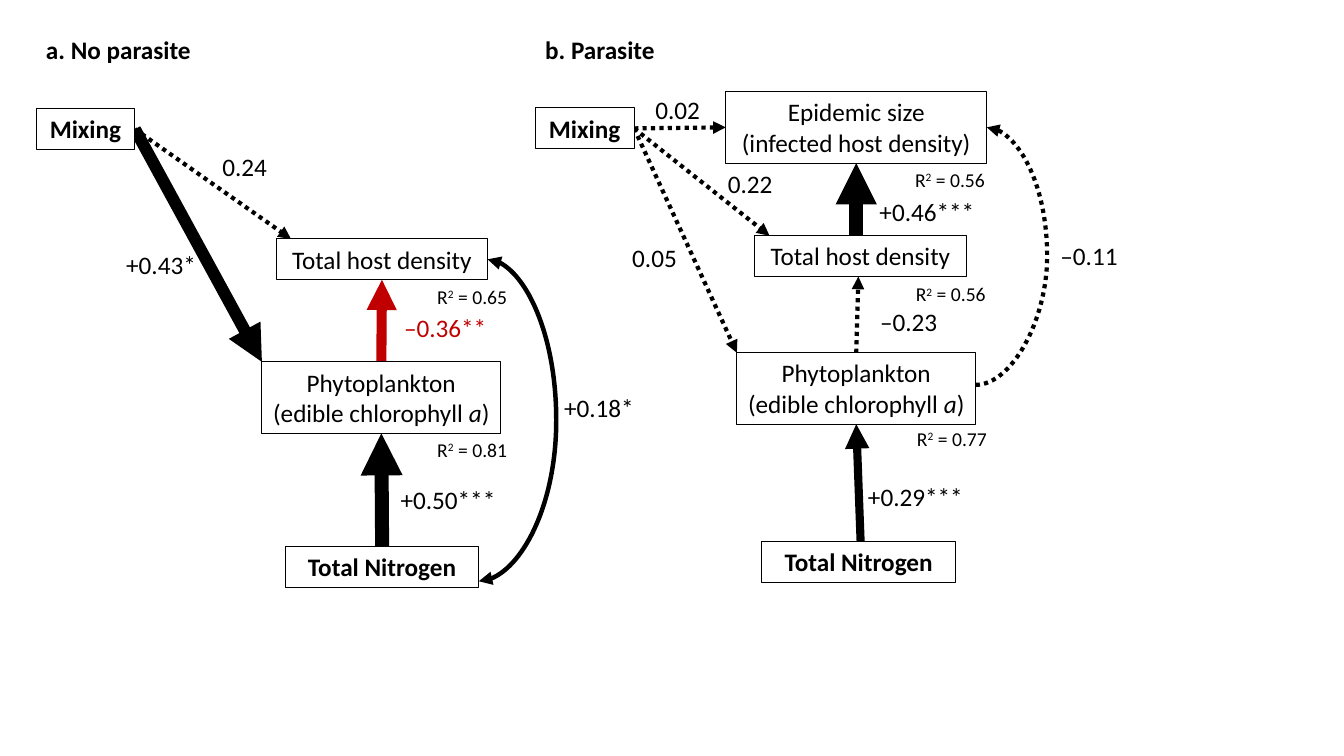
"""Draw two path diagrams of mixing and nitrogen effects, without and with a parasite."""
import pptx
import pptx.dml.color
import pptx.enum.dml
import pptx.enum.shapes
import pptx.enum.text
import pptx.oxml.ns
import pptx.util
from lxml import etree

THEME = {"font": "Calibri", "black": "000000", "red": "C00000", "white": "FFFFFF",
         "body": 18, "small": 14, "frame": 0.75, "dots": 3}

# name: (lines, width, height, bold); a piece led by ^ is raised, by / is italic
BOXES = {
    "mix": ("Mixing", 2.49, 1.03, True),
    "host": ("Total host density", 5.33, 1.03, False),
    "algae": ("Phytoplankton\n(edible chlorophyll |/a|)", 6.02, 1.8, False),
    "nitro": ("Total Nitrogen", 4.88, 1.03, True),
    "size": ("Epidemic size\n(infected host density)", 6.58, 1.8, False),
}

# places: left, top; labels: text, left, top, width, colour; fits: value, left, top
# arrows: start, end, weight (None is dotted), colour, as box name and share of its width and height
# curves: the same, then the x of the bend and whether both ends have heads
PANELS = [
    {
        "title": ("a. No parasite", 0.91, 0.74),
        "places": {"mix": (0.91, 2.74), "host": (6.96, 6.02),
                   "algae": (6.6, 9.12), "nitro": (7.19, 13.77)},
        "labels": [("–0.36**", 9.8, 7.75, 2.84, "red"), ("+0.50***", 9.78, 12.07, 3.02, "black"),
                   ("0.24", 4.78, 3.68, 2.77, "black"), ("+0.43*", 2.74, 6.17, 2.64, "black"),
                   ("+0.18*", 13.89, 9.75, 2.41, "black")],
        "fits": [("0.81", 10.77, 10.9), ("0.65", 10.77, 7.06)],
        "arrows": [(("algae", 0.5, 0), ("host", 0.5, 1), 7.2, "red"),
                   (("nitro", 0.5, 0), ("algae", 0.5, 1), 10, "black"),
                   (("mix", 1, 0.5), ("host", 0.07, 0), None, "black"),
                   (("mix", 1, 0.5), ("algae", 0, 0), 8.6, "black")],
        "curves": [(("host", 1, 0.5), ("nitro", 1, 0.85), 3.2, "black", 14.02, True)],
    },
    {
        "title": ("b. Parasite", 13.49, 0.74),
        "places": {"mix": (13.49, 2.72), "host": (19.02, 5.94), "algae": (18.57, 8.89),
                   "nitro": (19.2, 13.64), "size": (18.29, 2.31)},
        "labels": [("+0.46***", 21.77, 4.83, 3.18, "black"), ("+0.29***", 21.51, 12.01, 3.12, "black"),
                   ("–0.23", 21.82, 7.59, 2.16, "black"), ("0.02", 16.05, 2.24, 2.06, "black"),
                   ("0.22", 17.98, 4.11, 1.85, "black"), ("0.05", 15.57, 5.97, 1.85, "black"),
                   ("–0.11", 26.24, 5.94, 2.41, "black")],
        "fits": [("0.77", 22.86, 10.64), ("0.56", 22.81, 4.11), ("0.56", 22.83, 6.99)],
        "arrows": [(("algae", 0.5, 0), ("host", 0.49, 1), None, "black"),
                   (("mix", 1, 0.5), ("size", 0, 0.5), None, "black"),
                   (("host", 0.48, 0), ("size", 0.5, 1), 9.8, "black"),
                   (("mix", 1, 0.5), ("host", 0.07, 0), None, "black"),
                   (("nitro", 0.51, 0), ("algae", 0.5, 1), 5.8, "black"),
                   (("mix", 1, 0.5), ("algae", 0, 0), None, "black")],
        "curves": [(("algae", 1, 0.45), ("size", 1, 0.5), None, "black", 26.39, False)],
    },
]


def cms(*sides):
    return [pptx.util.Cm(side) for side in sides]


def tint(name):
    return pptx.dml.color.RGBColor.from_string(THEME[name])


def write(shape, text, size="body", hue="black", bold=False, align="CENTER"):
    frame = shape.text_frame
    frame.word_wrap = True
    frame.vertical_anchor = pptx.enum.text.MSO_ANCHOR.TOP
    frame.text = text.replace("|", "").replace("^", "").replace("/", "")
    for para, line in zip(frame.paragraphs, text.split("\n")):
        para.alignment = getattr(pptx.enum.text.PP_ALIGN, align)
        para.text = ""
        for piece in line.split("|"):
            run = para.add_run()
            run.text = piece.lstrip("^/")
            font = run.font
            font.name, font.size, font.bold = THEME["font"], pptx.util.Pt(THEME[size]), bold
            font.color.rgb = tint(hue)
            if piece.startswith("/"):
                font.italic = True
            if piece.startswith("^"):
                run._r.get_or_add_rPr().set("baseline", "30000")


def note(shapes, text, left, top, width, height=1.03, **style):
    write(shapes.add_textbox(*cms(left, top, width, height)), text, **style)


def box(shapes, name, place):
    text, width, height, bold = BOXES[name]
    shape = shapes.add_shape(pptx.enum.shapes.MSO_SHAPE.RECTANGLE, *cms(*place, width, height))
    shape.shadow.inherit = False
    shape.fill.solid()
    shape.fill.fore_color.rgb = tint("white")
    shape.line.color.rgb = tint("black")
    shape.line.width = pptx.util.Pt(THEME["frame"])
    write(shape, text, bold=bold)


def point(places, spot):
    name, across, down = spot
    left, top = places[name]
    width, height = BOXES[name][1:3]
    return left + across * width, top + down * height


def arrow(shapes, places, start, end, weight, hue, bend=None, double=False):
    first, last = point(places, start), point(places, end)
    kinds = pptx.enum.shapes.MSO_CONNECTOR
    link = shapes.add_connector(kinds.CURVE if bend else kinds.STRAIGHT, *cms(*first, *last))
    link.line.color.rgb = tint(hue)
    link.line.width = pptx.util.Pt(weight or THEME["dots"])
    if weight is None:
        link.line.dash_style = pptx.enum.dml.MSO_LINE.ROUND_DOT
    qn = pptx.oxml.ns.qn
    props = link._element.spPr
    for tag in ["a:headEnd", "a:tailEnd"] if double else ["a:tailEnd"]:
        etree.SubElement(props.find(qn("a:ln")), qn(tag), type="triangle")
    etree.SubElement(props, qn("a:effectLst"))
    if bend:
        share = round((bend - first[0]) / (last[0] - first[0]) * 100000)
        geom = props.find(qn("a:prstGeom"))
        guides = geom.find(qn("a:avLst"))
        if guides is None:
            guides = etree.SubElement(geom, qn("a:avLst"))
        etree.SubElement(guides, qn("a:gd"), name="adj1", fmla=f"val {share}")


deck = pptx.Presentation()
deck.slide_width, deck.slide_height = cms(33.87, 19.05)
slide = deck.slides.add_slide(deck.slide_layouts[6])
for panel in PANELS:
    shapes = slide.shapes.add_group_shape().shapes
    places = panel["places"]
    note(shapes, *panel["title"], 10.44, bold=True, align="LEFT")
    for *label, hue in panel["labels"]:
        note(shapes, *label, hue=hue)
    for value, left, top in panel["fits"]:
        note(shapes, f"R|^2| = {value}", left, top, 2.34, 0.86, size="small", align="LEFT")
    for path in panel["arrows"] + panel["curves"]:
        arrow(shapes, places, *path)
    for name, place in places.items():
        box(shapes, name, place)
deck.save("out.pptx")
